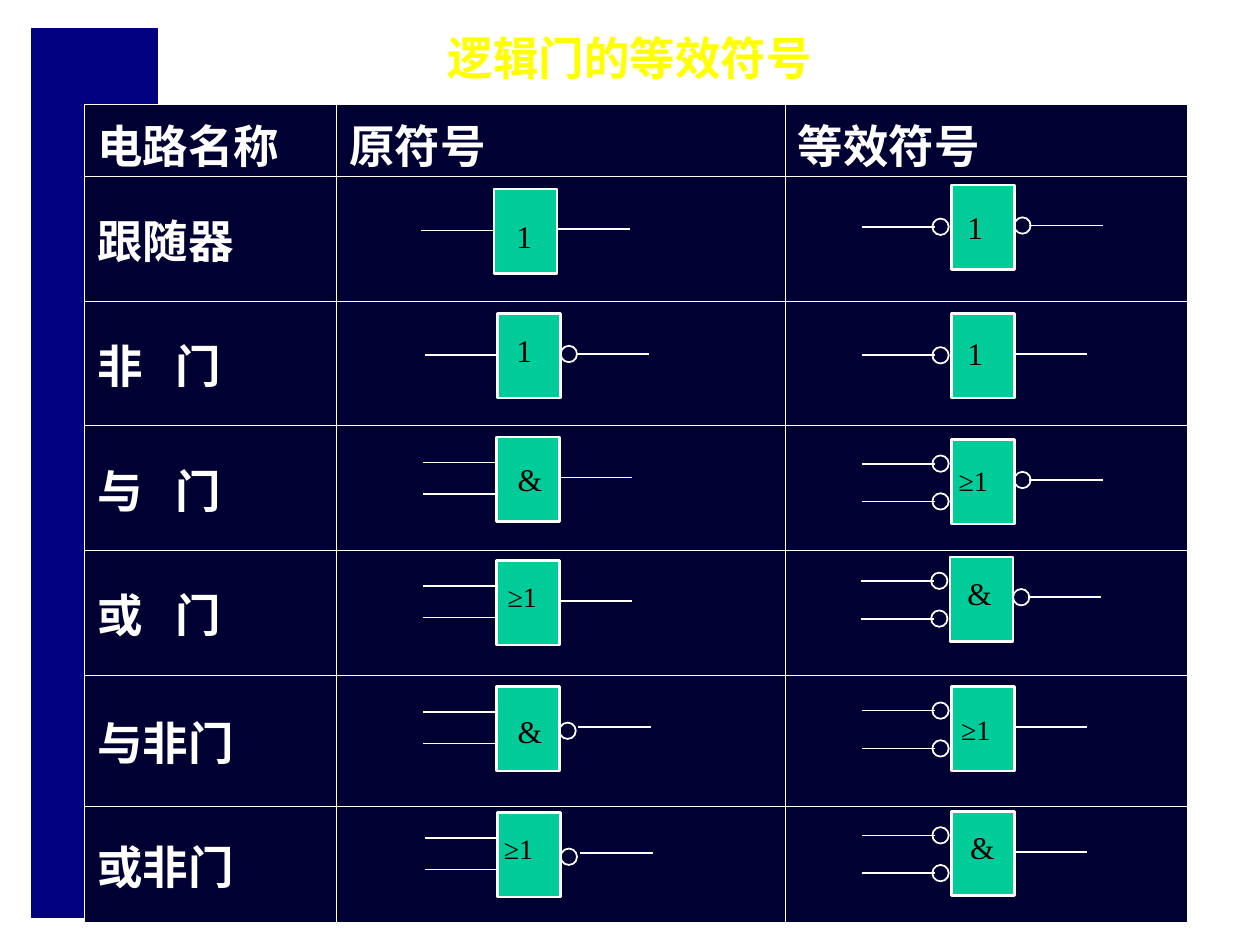
from lxml.etree import SubElement
from pptx import Presentation
from pptx.dml.color import RGBColor
from pptx.enum.shapes import MSO_CONNECTOR as Connector, MSO_SHAPE as Shape
from pptx.enum.text import MSO_ANCHOR as Anchor, PP_ALIGN as Align
from pptx.oxml.ns import qn
from pptx.util import Inches, Pt

COLORS = {"band": "000080", "cell": "000032", "gate": "00CC99",
          "line": "FFFFFF", "title": "FFFF00", "label": "000000"}
FORMATS = {
    "title": {"size": Pt(26), "bold": True, "name": "Times New Roman"},
    "large": {"size": Pt(18), "bold": False, "name": "Times New Roman"},
    "small": {"size": Pt(16), "bold": False, "name": "Times New Roman"},
}
HEADERS = ["电路名称", "原符号", "等效符号"]
NAMES = ["跟随器", "非 门", "与 门", "或 门", "与非门", "或非门"]
COLUMNS = [2, 3.56, 3.19]
ROWS = [0.57, 0.99, 0.99, 0.99, 0.99, 1.04, 0.92]

ONE, PAIR, INVERTED_PAIR = (0.33,), (0.2, 0.45), (0.19, 0.49)
NEAR, FAR = (0.62, 0.32), (0.65, 0.35)
# left, top, symbol, symbol offset, input heights, inverted inputs, output bubble
GATES = [
    (3.92, 1.5, "1", (0.08, 0.17), ONE, False, None),
    (7.55, 1.47, "1", (0.03, 0.13), ONE, True, NEAR),
    (3.95, 2.49, "1", (0.05, 0.09), ONE, False, NEAR),
    (7.55, 2.49, "1", (0.03, 0.11), ONE, True, None),
    (3.94, 3.47, "&", (0.07, 0.13), PAIR, False, None),
    (7.55, 3.49, "≥1", (-0.04, 0.14), INVERTED_PAIR, True, NEAR),
    (3.94, 4.45, "≥1", (-0.01, 0.1), PAIR, False, None),
    (7.54, 4.42, "&", (0.04, 0.09), INVERTED_PAIR, True, NEAR),
    (3.94, 5.45, "&", (0.07, 0.15), PAIR, False, FAR),
    (7.55, 5.45, "≥1", (-0.02, 0.16), INVERTED_PAIR, True, None),
    (3.95, 6.45, "≥1", (-0.05, 0.1), PAIR, False, FAR),
    (7.55, 6.44, "&", (0.05, 0.08), INVERTED_PAIR, True, None),
]
GATE_WIDTH, GATE_HEIGHT, WIRE, BUBBLE = 0.5, 0.67, 0.58, 0.13


class SlidePainter:
    """Draws styled elements on the current slide."""

    def __init__(self, page):
        self.page = page
        self.canvas = page.shapes

    def color(self, name):
        return RGBColor.from_string(COLORS[name])

    def fill_text(self, frame, text, style, color, before=0, align=Align.LEFT):
        para = frame.paragraphs[0]
        para.alignment, para.space_before = align, Pt(before)
        for index, word in enumerate(text.split(" ")):
            if index:
                self.span(para, " ", style, color).font._element.set("spc", "1300")
            self.span(para, word, style, color)

    def span(self, para, text, style, color):
        span = para.add_run()
        span.text = text
        for key, value in FORMATS[style].items():
            setattr(span.font, key, value)
        span.font.color.rgb = self.color(color)
        return span

    def text(self, place, text, style, color, before=0, align=Align.LEFT, anchor=Anchor.TOP):
        box = self.canvas.add_textbox(*map(Inches, place))
        box.text_frame.word_wrap = True
        box.text_frame.vertical_anchor = anchor
        self.fill_text(box.text_frame, text, style, color, before, align)

    def shape(self, kind, place, fill, line, width):
        shape = self.canvas.add_shape(kind, *map(Inches, place))
        shape.shadow.inherit = False
        if fill:
            shape.fill.solid()
            shape.fill.fore_color.rgb = self.color(fill)
        else:
            shape.fill.background()
        shape.line.color.rgb = self.color(line)
        shape.line.width = Pt(width)

    def wire(self, left, right, height):
        wire = self.canvas.add_connector(
            Connector.STRAIGHT, *map(Inches, (left, height, right, height)))
        wire.line.color.rgb = self.color("line")
        wire.line.width = Pt(1)
        SubElement(wire._element.spPr, qn("a:effectLst"))

    def bubble(self, left, middle):
        place = (left, middle - BUBBLE / 2, BUBBLE, BUBBLE)
        self.shape(Shape.OVAL, place, None, "line", 1)

    def gate(self, left, top, symbol, offset, inputs, inverted, output):
        self.canvas = self.page.shapes.add_group_shape().shapes
        self.shape(Shape.RECTANGLE, (left, top, GATE_WIDTH, GATE_HEIGHT), "gate", "line", 1.5)
        style, before = ("small", 10) if symbol == "≥1" else ("large", 11.2)
        width = 0.33 if symbol == "1" else 0.65
        place = (left + offset[0], top + offset[1], width, 0.4)
        self.text(place, symbol, style, "label", before)
        end = left - BUBBLE if inverted else left
        for height in inputs:
            self.wire(end - WIRE, end, top + height)
            if inverted:
                self.bubble(left - 0.15, top + height)
        lead, middle = output or (GATE_WIDTH, 0)
        self.wire(left + lead, left + lead + WIRE, top + 0.32)
        if output:
            self.bubble(left + GATE_WIDTH, top + middle)
        self.canvas = self.page.shapes

    def border(self, cell):
        props = cell._tc.get_or_add_tcPr()
        for index, side in enumerate(("lnL", "lnR", "lnT", "lnB")):
            line = props.makeelement(qn(f"a:{side}"), {"w": str(Pt(0.45))})
            fill = SubElement(line, qn("a:solidFill"))
            SubElement(fill, qn("a:srgbClr"), val=COLORS["line"])
            props.insert(index, line)

    def table(self, place, columns, rows, content):
        table = self.canvas.add_table(len(rows), len(columns), *map(Inches, place)).table
        table.first_row = table.horz_banding = False
        for column, width in zip(table.columns, columns):
            column.width = Inches(width)
        for row, height, texts in zip(table.rows, rows, content):
            row.height = Inches(height)
            for cell, text in zip(row.cells, texts):
                cell.vertical_anchor = Anchor.MIDDLE
                cell.fill.solid()
                cell.fill.fore_color.rgb = self.color("cell")
                self.border(cell)
                if text:
                    self.fill_text(cell.text_frame, text, "title", "line", 6.5)


def main():
    deck = Presentation()
    deck.slide_width, deck.slide_height = Inches(10), Inches(7.5)
    painter = SlidePainter(deck.slides.add_slide(deck.slide_layouts[6]))
    painter.shape(Shape.RECTANGLE, (0.25, 0.23, 1, 7.05), "band", "band", 0.75)
    painter.text((0.75, 0.08, 8.5, 0.75), "逻辑门的等效符号", "title", "title",
                 align=Align.CENTER, anchor=Anchor.MIDDLE)
    content = [HEADERS] + [[name, "", ""] for name in NAMES]
    painter.table((0.67, 0.83, 8.75, 6.5), COLUMNS, ROWS, content)
    for gate in GATES:
        painter.gate(*gate)
    deck.save("out.pptx")


if __name__ == "__main__":
    main()
